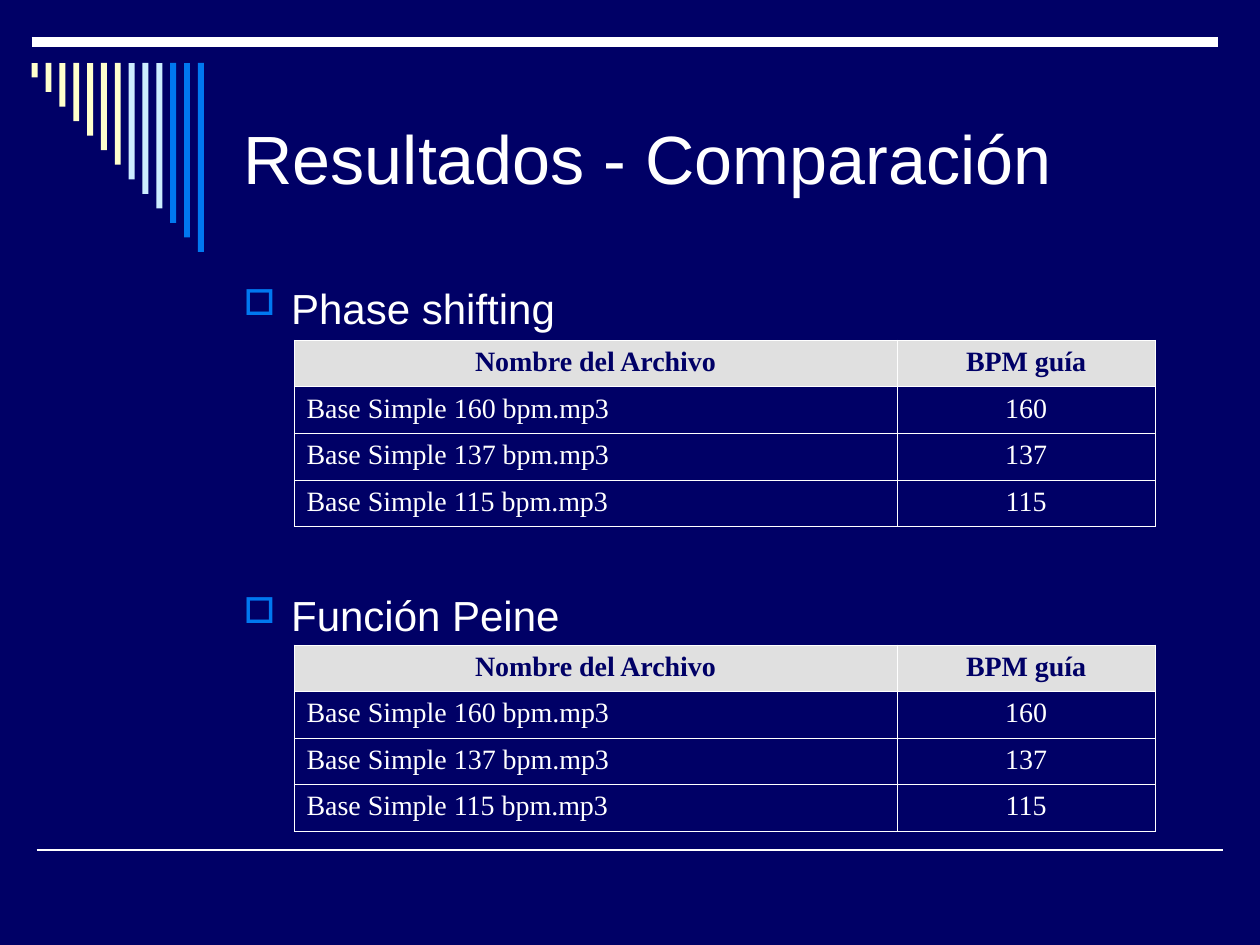
from lxml import etree
from pptx import Presentation
from pptx.dml.color import RGBColor
from pptx.enum.shapes import MSO_CONNECTOR, MSO_SHAPE
from pptx.enum.text import MSO_ANCHOR, PP_ALIGN
from pptx.oxml.ns import qn
from pptx.util import Cm, Pt

STRAIGHT = MSO_CONNECTOR.STRAIGHT
RECTANGLE = MSO_SHAPE.RECTANGLE
TOP, MIDDLE = MSO_ANCHOR.TOP, MSO_ANCHOR.MIDDLE
LEFT, CENTER, JUSTIFY = PP_ALIGN.LEFT, PP_ALIGN.CENTER, PP_ALIGN.JUSTIFY

COLORS = {
    "navy": "000066",
    "white": "FFFFFF",
    "cream": "FFFFCC",
    "pale": "CCECFF",
    "blue": "0078F0",
    "gray": "E0E0E0",
}
BAR_COLORS = ["cream"] * 7 + ["pale"] * 3 + ["blue"] * 3
HEADINGS = ["Phase shifting", "Función Peine"]
ROWS = [
    ("Nombre del Archivo", "BPM guía"),
    ("Base Simple 160 bpm.mp3", "160"),
    ("Base Simple 137 bpm.mp3", "137"),
    ("Base Simple 115 bpm.mp3", "115"),
]


def color(name):
    return RGBColor.from_string(COLORS[name])


def set_font(para, face, size, name, bold=False):
    para.font.name = face
    para.font.size = Pt(size)
    para.font.bold = bold
    para.font.color.rgb = color(name)


def set_insets(frame, top):
    frame.margin_left = frame.margin_right = Cm(0.25)
    frame.margin_top = Cm(top)
    frame.margin_bottom = Cm(0.13)


def add_rule(page, left, top, width, weight):
    rule = page.shapes.add_connector(
        STRAIGHT, Cm(left), Cm(top), Cm(left + width), Cm(top))
    rule.line.color.rgb = color("white")
    rule.line.width = Pt(weight)
    etree.SubElement(rule._element.spPr, qn("a:effectLst"))


def add_bars(page, left, top, width, height):
    count = len(BAR_COLORS)
    bar_width = 0.12
    pitch = (width - bar_width) / (count - 1)
    for index, name in enumerate(BAR_COLORS):
        bar = page.shapes.add_shape(
            RECTANGLE, Cm(left + index * pitch), Cm(top),
            Cm(bar_width), Cm(height * (index + 1) / count))
        bar.shadow.inherit = False
        bar.fill.solid()
        bar.fill.fore_color.rgb = color(name)
        bar.line.fill.background()


def place_title(page, left, top, width, height):
    title = page.shapes.title
    title.left, title.top = Cm(left), Cm(top)
    title.width, title.height = Cm(width), Cm(height)
    frame = title.text_frame
    frame.text = "Resultados - Comparación"
    frame.vertical_anchor = MIDDLE
    set_insets(frame, 0.33)
    para = frame.paragraphs[0]
    para.alignment = LEFT
    set_font(para, "Arial", 39, "white")


def add_bullet(para):
    props = para._p.get_or_add_pPr()
    props.set("marL", str(Cm(0.96)))
    props.set("indent", str(-Cm(0.96)))
    tint = etree.SubElement(props, qn("a:buClr"))
    etree.SubElement(tint, qn("a:srgbClr"), val=COLORS["blue"])
    etree.SubElement(props, qn("a:buSzPct"), val="85000")
    etree.SubElement(props, qn("a:buChar"), char="□")


def add_headings(page, left, top, width, height):
    box = page.shapes.add_textbox(Cm(left), Cm(top), Cm(width), Cm(height))
    frame = box.text_frame
    frame.word_wrap = True
    frame.vertical_anchor = TOP
    set_insets(frame, 0.19)
    for index, heading in enumerate(HEADINGS):
        para = frame.add_paragraph() if index else frame.paragraphs[0]
        para.text = heading
        add_bullet(para)
        if index:
            para.space_before = Pt(146.7)
        set_font(para, "Arial", 24, "white")


def add_borders(cell):
    props = cell._tc.get_or_add_tcPr()
    for side in ("lnL", "lnR", "lnT", "lnB"):
        line = etree.SubElement(props, qn(f"a:{side}"), w=str(Pt(0.45)))
        fill = etree.SubElement(line, qn("a:solidFill"))
        etree.SubElement(fill, qn("a:srgbClr"), val=COLORS["white"])


def format_cell(cell, text, header, alignment):
    cell.text = text
    set_insets(cell, 0.13)
    add_borders(cell)
    if header:
        cell.fill.solid()
        cell.fill.fore_color.rgb = color("gray")
    else:
        cell.fill.background()
    para = cell.text_frame.paragraphs[0]
    para.alignment = alignment
    set_font(para, "Times New Roman", 16, "navy" if header else "white", header)


def add_results(page, left, top, width, height):
    table = page.shapes.add_table(
        len(ROWS), 2, Cm(left), Cm(top), Cm(width), Cm(height)).table
    table.horz_banding = False
    for column, share in zip(table.columns, (0.7, 0.3)):
        column.width = Cm(width * share)
    for row_index, values in enumerate(ROWS):
        table.rows[row_index].height = Cm(height / len(ROWS))
        header = row_index == 0
        for column_index, text in enumerate(values):
            alignment = CENTER if header or column_index else JUSTIFY
            format_cell(table.cell(row_index, column_index), text, header, alignment)


def main():
    deck = Presentation()
    deck.slide_width, deck.slide_height = Cm(25.4), Cm(19.05)
    page = deck.slides.add_slide(deck.slide_layouts[5])
    page.background.fill.solid()
    page.background.fill.fore_color.rgb = color("navy")

    add_rule(page, 0.74, 17.14, 23.92, 1)
    add_rule(page, 0.64, 0.85, 23.92, 6)
    add_bars(page, 0.64, 1.27, 3.47, 3.81)
    place_title(page, 4.66, 1.27, 19.47, 3.6)
    add_headings(page, 4.66, 5.5, 9.53, 11.43)
    for top in (6.86, 13):
        add_results(page, 5.93, top, 17.36, 3.72)
    deck.save("out.pptx")


if __name__ == "__main__":
    main()
